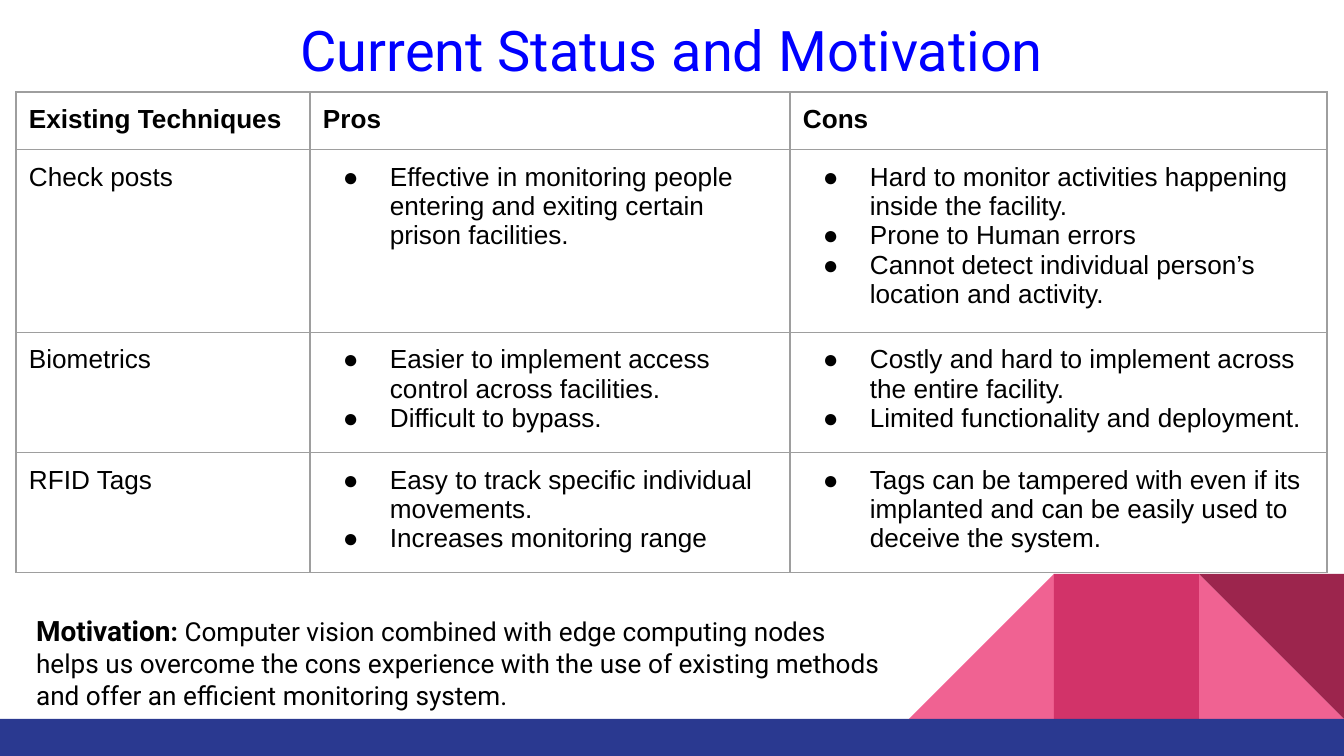
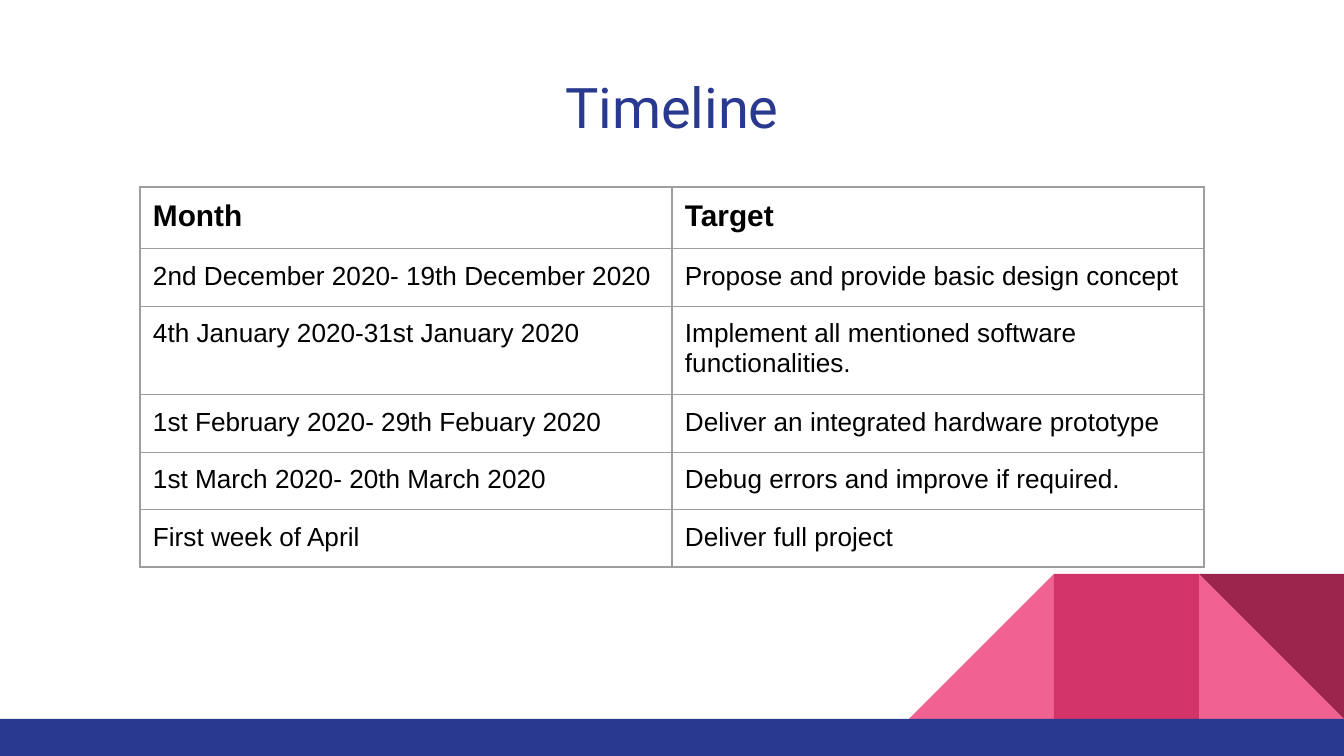
from lxml.etree import SubElement
from pptx import Presentation
from pptx.dml.color import RGBColor
from pptx.enum.shapes import MSO_SHAPE
from pptx.enum.text import MSO_ANCHOR, PP_ALIGN
from pptx.oxml.ns import qn
from pptx.util import Emu, Pt

SLIDE_W, SLIDE_H = 1344, 756
PX_PER_INCH = 134.4
INSET = 13
ROW_H = 56
BAND_H = 37
TILE = 145

COLORS = {
    "white": "FFFFFF",
    "black": "000000",
    "navy": "2A3990",
    "blue": "0000FF",
    "pink": "F06292",
    "rose": "D23369",
    "wine": "9C254D",
    "grid": "9E9E9E",
}

TECHNIQUES = [
    ["Existing Techniques", "Pros", "Cons"],
    ["Check posts",
     ["Effective in monitoring people entering and exiting certain prison facilities."],
     ["Hard to monitor activities happening inside the facility.",
      "Prone to Human errors",
      "Cannot detect individual person’s location and activity."]],
    ["Biometrics",
     ["Easier to implement access control across facilities.",
      "Difficult to bypass."],
     ["Costly and hard to implement across the entire facility.",
      "Limited functionality and deployment."]],
    ["RFID Tags",
     ["Easy to track specific individual movements.",
      "Increases monitoring range"],
     ["Tags can be tampered with even if its implanted and can be easily used "
      "to deceive the system."]],
]

MOTIVATION = [
    ("Motivation", 15, True),
    (": ", 14, True),
    ("Computer vision combined with edge computing nodes helps us overcome the cons "
     "experience with the use of existing methods and offer an efficient monitoring "
     "system.", 14, False),
]

TIMELINE = [
    ["Month", "Target"],
    ["2nd December 2020- 19th December 2020", "Propose and provide basic design concept"],
    ["4th January 2020-31st January 2020", "Implement all mentioned software functionalities."],
    ["1st February 2020- 29th Febuary 2020", "Deliver an integrated hardware prototype"],
    ["1st March 2020- 20th March 2020", "Debug errors and improve if required."],
    ["First week of April", "Deliver full project"],
]


def px(n):
    return Emu(round(n * 914400 / PX_PER_INCH))


def rgb(name):
    return RGBColor.from_string(COLORS[name])


def style_run(r, size, font, color="black", bold=False):
    r.font.size = Pt(size)
    r.font.name = font
    r.font.bold = bold
    r.font.color.rgb = rgb(color)


def set_insets(target):
    """Give a text frame or a table cell the same inset on all sides."""
    target.margin_left = target.margin_right = px(INSET)
    target.margin_top = target.margin_bottom = px(INSET)


def add_block(slide, kind, box, color):
    s = slide.shapes.add_shape(kind, *map(px, box))
    s.shadow.inherit = False
    s.fill.solid()
    s.fill.fore_color.rgb = rgb(color)
    s.line.fill.background()
    return s


def add_footer(slide):
    """Draw the bottom band and the row of three tiles standing on its right end."""
    band_top = SLIDE_H - BAND_H
    top = band_top - TILE
    left, middle, right = (SLIDE_W - n * TILE for n in (3, 2, 1))
    triangle = MSO_SHAPE.RIGHT_TRIANGLE
    add_block(slide, triangle, (right, top, TILE, TILE), "pink")
    slope = add_block(slide, triangle, (left, top, TILE, TILE), "pink")
    slope._element.spPr.find(qn("a:xfrm")).set("flipH", "1")
    add_block(slide, MSO_SHAPE.RECTANGLE, (middle, top, TILE, TILE), "rose")
    add_block(slide, triangle, (right, top, TILE, TILE), "wine").rotation = 180
    add_block(slide, MSO_SHAPE.RECTANGLE, (0, band_top, SLIDE_W, BAND_H), "navy")


def add_text(slide, box, runs, color="black", align=PP_ALIGN.LEFT):
    tf = slide.shapes.add_textbox(*map(px, box)).text_frame
    tf.word_wrap = True
    tf.vertical_anchor = MSO_ANCHOR.TOP
    set_insets(tf)
    p = tf.paragraphs[0]
    p.alignment = align
    for text, size, bold in runs:
        r = p.add_run()
        r.text = text
        style_run(r, size, "Roboto", color, bold)


def add_title(slide, top, text, color):
    add_text(slide, (46, top, 1252, 89), [(text, 30, False)], color, PP_ALIGN.CENTER)


def add_bullet(p):
    pPr = p._p.get_or_add_pPr()
    pPr.set("marL", str(px(67)))
    pPr.set("indent", str(px(-47)))
    buClr = SubElement(pPr, qn("a:buClr"))
    SubElement(buClr, qn("a:srgbClr")).set("val", COLORS["black"])
    SubElement(pPr, qn("a:buFont")).set("typeface", "Arial")
    SubElement(pPr, qn("a:buChar")).set("char", "●")


def add_borders(cell):
    tcPr = cell._tc.get_or_add_tcPr()
    for side in ("lnL", "lnR", "lnT", "lnB"):
        ln = SubElement(tcPr, qn(f"a:{side}"))
        ln.set("w", str(Pt(0.75)))
        fill = SubElement(ln, qn("a:solidFill"))
        SubElement(fill, qn("a:srgbClr")).set("val", COLORS["grid"])


def fill_cell(cell, content, size, bold):
    """Write a plain string, or a list of strings as bullets."""
    bulleted = isinstance(content, list)
    cell.text_frame.text = "\n".join(content) if bulleted else content
    for p in cell.text_frame.paragraphs:
        if bulleted:
            add_bullet(p)
        style_run(p.runs[0], size, "Arial", bold=bold)
    set_insets(cell)
    add_borders(cell)
    cell.fill.background()


def add_grid(slide, left, top, widths, rows, header_size):
    box = (left, top, sum(widths), ROW_H * len(rows))
    table = slide.shapes.add_table(len(rows), len(widths), *map(px, box)).table
    table.first_row = table.horz_banding = False
    for column, width in zip(table.columns, widths):
        column.width = px(width)
    for i, row in enumerate(rows):
        table.rows[i].height = px(ROW_H)
        for j, content in enumerate(row):
            fill_cell(table.cell(i, j), content, 14 if i else header_size, i == 0)


def add_base_slide(prs):
    slide = prs.slides.add_slide(prs.slide_layouts[6])
    slide.background.fill.solid()
    slide.background.fill.fore_color.rgb = rgb("white")
    add_footer(slide)
    return slide


def add_motivation_slide(prs):
    slide = add_base_slide(prs)
    add_title(slide, 3, "Current Status and Motivation", "blue")
    add_grid(slide, 16, 92, (294, 480, 537), TECHNIQUES, 14)
    add_text(slide, (23, 601, 878, 122), MOTIVATION)


def add_timeline_slide(prs):
    slide = add_base_slide(prs)
    add_title(slide, 60, "Timeline", "navy")
    add_grid(slide, 140, 187, (532, 532), TIMELINE, 16)


def main():
    prs = Presentation()
    prs.slide_width, prs.slide_height = px(SLIDE_W), px(SLIDE_H)
    add_motivation_slide(prs)
    add_timeline_slide(prs)
    prs.save("out.pptx")


if __name__ == "__main__":
    main()
